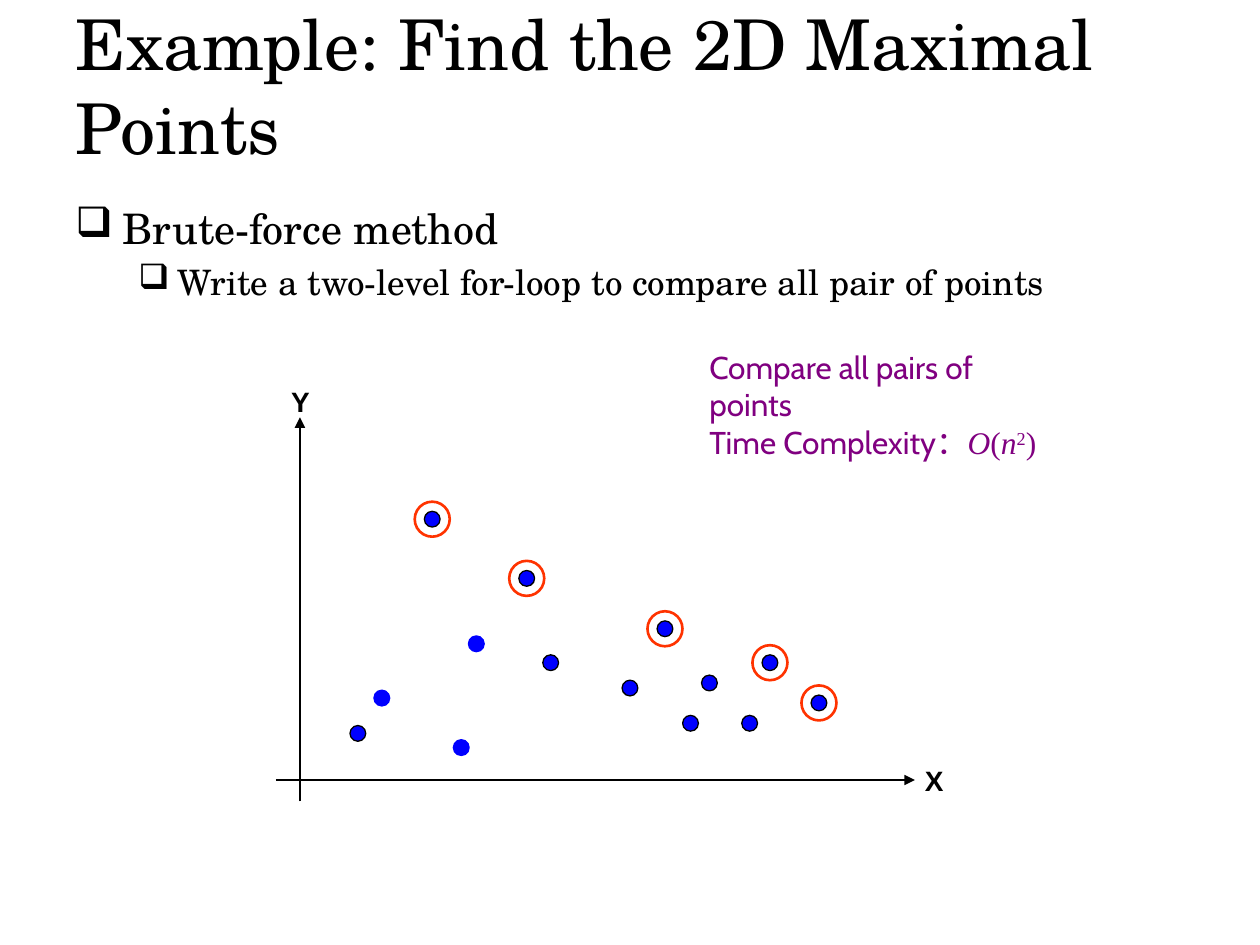
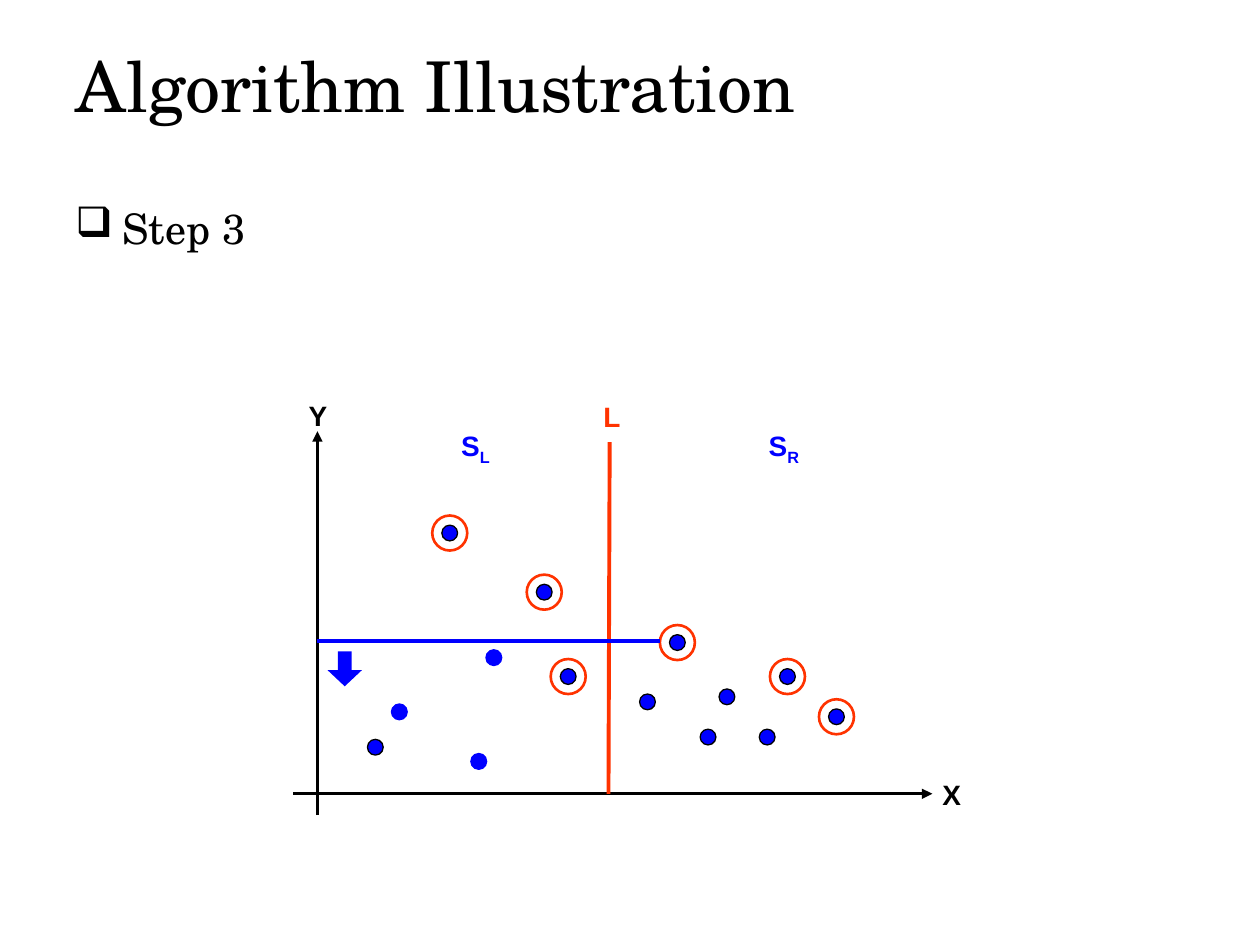
from dataclasses import dataclass
from lxml.etree import SubElement
from pptx import Presentation
from pptx.dml.color import RGBColor
from pptx.enum.shapes import MSO_CONNECTOR, MSO_SHAPE
from pptx.enum.text import MSO_ANCHOR, MSO_AUTO_SIZE, PP_ALIGN
from pptx.oxml.ns import qn
from pptx.util import Pt


@dataclass(frozen=True)
class Theme:
    black: RGBColor = RGBColor(0, 0, 0)
    blue: RGBColor = RGBColor(0, 0, 255)
    red: RGBColor = RGBColor(255, 51, 0)
    purple: RGBColor = RGBColor(128, 0, 128)
    serif: str = "TeX Gyre Schola"
    title: int = 40
    body: int = 24
    sub: int = 20
    note: int = 18
    label: int = 16
    thin: float = 1.5
    thick: float = 2.25
    dot: float = 9
    ring: float = 20


theme = Theme()


def write(para, text, size, color, name, base=0, **style):
    run = para.add_run()
    run.text = text
    for key, value in dict(size=Pt(size), name=name, **style).items():
        setattr(run.font, key, value)
    run.font.color.rgb = color
    if base:
        run.font._element.set("baseline", str(base * 1000))


def link(slide, start, end, color, width, arrow=False):
    line = slide.shapes.add_connector(
        MSO_CONNECTOR.STRAIGHT, *[Pt(value) for value in (*start, *end)])
    line.line.color.rgb = color
    line.line.width = Pt(width)
    if arrow:
        SubElement(line.line._get_or_add_ln(), qn("a:tailEnd"), type="triangle")
    SubElement(line._element.spPr, qn("a:effectLst"))


soft = [(92.2, 18.5), (46.8, 46.8), (100.8, 77.8)]
dark = [(33.1, 26.6), (188.6, 52.5), (234, 55.4), (223.2, 32.4), (257, 32.4)]
middle = (143.3, 67)
top = [(75.6, 149), (129.6, 115.2), (268.6, 67), (296.6, 44)]
axes = [("X", None, 357.1, 9.4, theme.black), ("Y", None, -5, 226, theme.black)]

pages = [
    dict(title="Example: Find the 2D Maximal Points",
         items=[("Brute-force method", 0),
                ("Write a two-level for-loop to compare all pair of points", 1)],
         origin=(171.4, 445.7), peak=(208.6, 86.4), extra=[], labels=axes),
    dict(title="Algorithm Illustration", items=[("Step 3", 0)],
         origin=(181.4, 453.6), peak=(205.7, 86.4), extra=[middle],
         labels=axes + [("L", None, 163.4, 225.4, theme.red),
                        ("S", "L", 82.1, 208.8, theme.blue),
                        ("S", "R", 257.8, 208.8, theme.blue)]),
]
levels = [(theme.body, 27, 27), (theme.sub, 58.5, 22.5)]

deck = Presentation()
deck.slide_width, deck.slide_height = Pt(720), Pt(540)
slides = []

for page in pages:
    slide = deck.slides.add_slide(deck.slide_layouts[5])
    slides.append(slide)
    left, floor = page["origin"]

    title = slide.shapes.title
    for key, value in dict(left=36, top=21.6, width=648, height=53.3).items():
        setattr(title, key, Pt(value))
    frame = title.text_frame
    frame.auto_size = MSO_AUTO_SIZE.NONE
    frame.vertical_anchor = MSO_ANCHOR.MIDDLE
    frame.paragraphs[0].alignment = PP_ALIGN.LEFT
    write(frame.paragraphs[0], page["title"], theme.title, theme.black, theme.serif)

    body = slide.shapes.add_textbox(Pt(36), Pt(112.3), Pt(648), Pt(370)).text_frame
    body.word_wrap = True
    for index, (text, level) in enumerate(page["items"]):
        para = body.add_paragraph() if index else body.paragraphs[0]
        size, margin, hang = levels[level]
        para.level = level
        if index:
            para.space_before = Pt(size * 0.2)
        props = para._p.get_or_add_pPr()
        props.set("marL", str(Pt(margin)))
        props.set("indent", str(Pt(-hang)))
        SubElement(props, qn("a:buChar"), char="❑")
        write(para, text, size, theme.black, theme.serif)

    link(slide, (left, floor + 12.2), (left, floor - 207.2),
         theme.black, theme.thin, True)
    link(slide, (left - 13.7, floor), (left + 351.4, floor),
         theme.black, theme.thin, True)

    for text, sub, x, y, color in page["labels"]:
        box = slide.shapes.add_textbox(
            Pt(left + x), Pt(floor - y), Pt(18 if sub else 11), Pt(19.4))
        frame = box.text_frame
        frame.word_wrap = False
        for side in ("left", "right", "top", "bottom"):
            setattr(frame, "margin_" + side, 0)
        para = frame.paragraphs[0]
        write(para, text, theme.label, color, "Arial", bold=True)
        if sub:
            write(para, sub, theme.label, color, "Arial", -25, bold=True)

    peaks = [*top, page["peak"]]
    spots = [(spot, theme.dot, theme.blue, 0) for spot in soft]
    spots += [(spot, theme.dot, theme.black, 0) for spot in [*dark, middle, *peaks]]
    spots += [(spot, theme.ring, theme.red, theme.thin)
              for spot in peaks + page["extra"]]
    for (x, y), size, edge, width in spots:
        oval = slide.shapes.add_shape(
            MSO_SHAPE.OVAL, Pt(left + x - size / 2), Pt(floor - y - size / 2),
            Pt(size), Pt(size))
        oval.shadow.inherit = False
        oval.line.color.rgb = edge
        oval.line.width = Pt(width)
        if size == theme.ring:
            oval.fill.background()
        else:
            oval.fill.solid()
            oval.fill.fore_color.rgb = theme.blue

brute, merge = slides

note = brute.shapes.add_textbox(Pt(398.2), Pt(195.1), Pt(214.6), Pt(51.1)).text_frame
note.word_wrap = True
para = note.paragraphs[0]
write(para, "Compare all pairs of points", theme.note, theme.purple, "Cabin")
para.add_line_break()
write(para, "Time Complexity：", theme.note, theme.purple, "Cabin")
for text, slant, base in [("O", True, 0), ("(", False, 0), ("n", True, 0),
                          ("2", False, 30), (")", False, 0)]:
    write(para, text, theme.note, theme.purple, "Times New Roman", base, italic=slant)

left, floor = pages[1]["origin"]
link(merge, (left + 167, floor - 200.9), (left + 166.3, floor),
     theme.red, theme.thick)
link(merge, (left, floor - 87.1), (left + 195.8, floor - 87.1),
     theme.blue, theme.thick)
sweep = merge.shapes.add_shape(
    MSO_SHAPE.DOWN_ARROW, Pt(left + 5.8), Pt(floor - 81.4), Pt(19.6), Pt(20))
sweep.shadow.inherit = False
sweep.adjustments[0], sweep.adjustments[1] = 0.4, 0.47
sweep.fill.solid()
sweep.fill.fore_color.rgb = theme.blue
sweep.line.fill.background()

deck.save("out.pptx")
